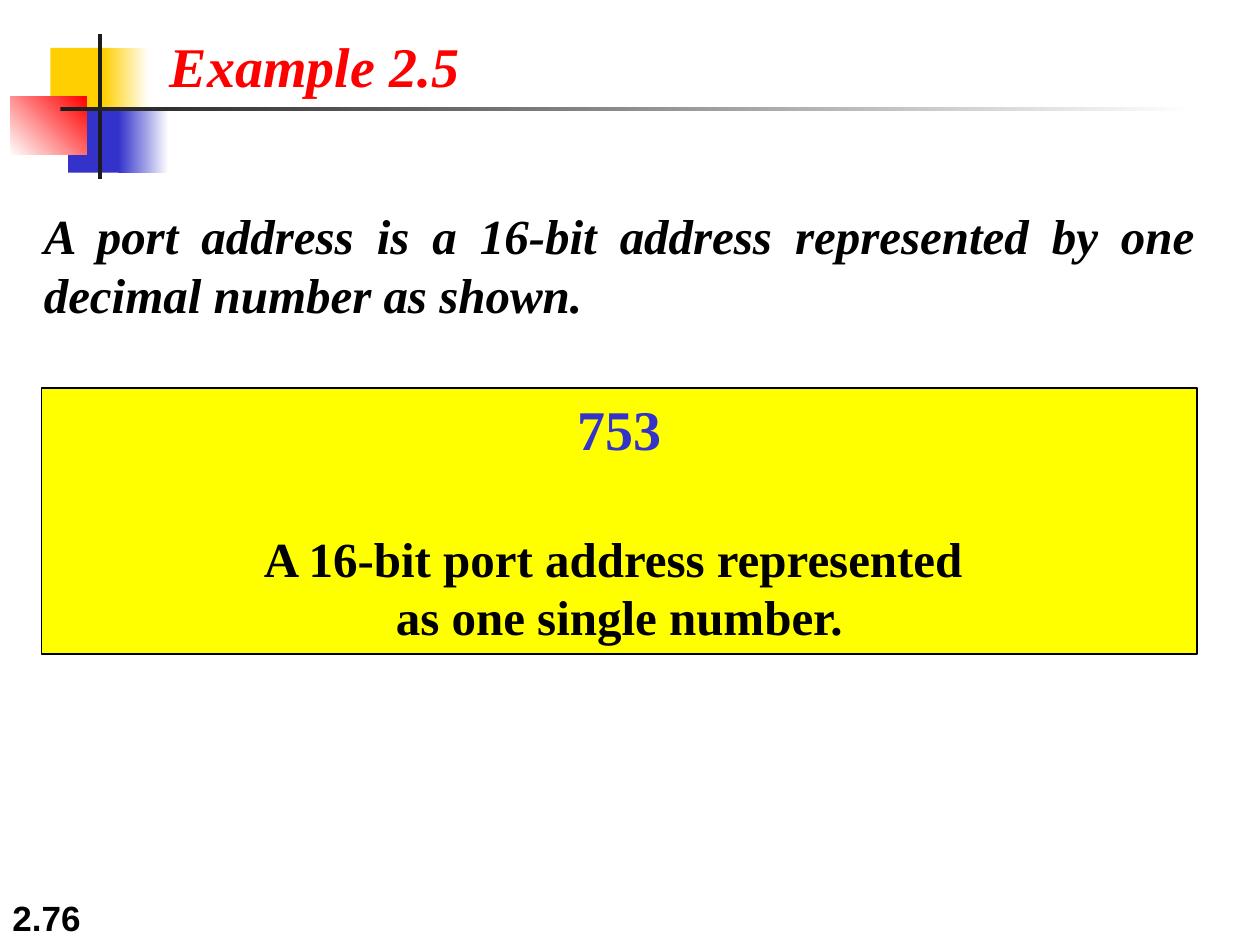
import pptx
import pptx.util
import pptx.dml.color
import pptx.enum.shapes
import pptx.enum.text

Inches = pptx.util.Inches
Pt = pptx.util.Pt
RGBColor = pptx.dml.color.RGBColor
ALIGN = pptx.enum.text.PP_ALIGN
ANCHOR = pptx.enum.text.MSO_ANCHOR

BLACK = RGBColor(0x00, 0x00, 0x00)
WHITE = RGBColor(0xFF, 0xFF, 0xFF)
GOLD = RGBColor(0xFF, 0xCF, 0x01)
BLUE = RGBColor(0x33, 0x33, 0xCC)
RED = RGBColor(0xFF, 0x00, 0x00)
CHARCOAL = RGBColor(0x1C, 0x1C, 0x1C)
YELLOW = RGBColor(0xFF, 0xFF, 0x00)
SERIF = "Times New Roman"

prs = pptx.Presentation()
prs.slide_width, prs.slide_height = Inches(10), Inches(7.5)
slide = prs.slides.add_slide(prs.slide_layouts[6])


def add_block(left, top, width, height, start, end=None, angle=0):
    """Add a borderless rectangle, solid or fading from start to end."""
    block = slide.shapes.add_shape(
        pptx.enum.shapes.MSO_SHAPE.RECTANGLE,
        Inches(left), Inches(top), Inches(width), Inches(height))
    block.shadow.inherit = False
    block.line.fill.background()
    if end is None:
        block.fill.solid()
        block.fill.fore_color.rgb = start
    else:
        block.fill.gradient()
        block.fill.gradient_angle = angle
        for stop, color, position in zip(block.fill.gradient_stops, (start, end), (0, 1)):
            stop.color.rgb = color
            stop.position = position
    return block


def add_run(paragraph, text, size, color, font=SERIF, italic=False):
    run = paragraph.add_run()
    run.text = text
    run.font.name = font
    run.font.size = Pt(size)
    run.font.bold = True
    run.font.italic = italic
    run.font.color.rgb = color


# Slide number
number = slide.shapes.add_textbox(Inches(0), Inches(7), Inches(2.08), Inches(0.5)).text_frame
number.word_wrap = True
number.vertical_anchor = ANCHOR.BOTTOM
add_run(number.paragraphs[0], "2.76", 20, BLACK, font="Arial")

# Corner ornament and heading rule
for ornament in (
    (0.4, 0.38, 0.48, 0.52, GOLD),
    (0.82, 0.38, 0.36, 0.52, GOLD, WHITE),
    (0.54, 0.85, 0.46, 0.52, BLUE),
    (0.94, 0.85, 0.4, 0.52, BLUE, WHITE),
    (0.08, 0.77, 0.61, 0.46, WHITE, RED, 45),
    (0.78, 0.27, 0.03, 1.15, CHARCOAL),
    (0.48, 0.85, 9, 0.03, CHARCOAL, WHITE),
):
    add_block(*ornament)

# Heading and statement
heading = slide.shapes.add_textbox(Inches(1.25), Inches(0.2), Inches(2.5), Inches(0.63)).text_frame
heading.word_wrap = False
add_run(heading.paragraphs[0], "Example 2.5", 32, RED, italic=True)

statement = slide.shapes.add_textbox(Inches(0.25), Inches(1.58), Inches(9.33), Inches(1.03)).text_frame
statement.word_wrap = True
statement.paragraphs[0].alignment = ALIGN.JUSTIFY
add_run(statement.paragraphs[0],
        "A port address is a 16-bit address represented by one decimal number as shown.",
        28, BLACK, italic=True)

# Port address panel
panel = add_block(0.33, 3.08, 9.17, 2.11, YELLOW)
panel.line.color.rgb = BLACK
panel.line.width = Pt(0.75)
panel_text = panel.text_frame
panel_text.word_wrap = True
panel_text.vertical_anchor = ANCHOR.TOP

port = panel_text.paragraphs[0]
port.alignment = ALIGN.CENTER
port.space_after = Pt(38)
add_run(port, "753", 32, BLUE)

caption = panel_text.add_paragraph()
caption.alignment = ALIGN.CENTER
add_run(caption, "A 16-bit port address represented ", 28, BLACK)
caption.add_line_break()
add_run(caption, "as one single number.", 28, BLACK)

prs.save("out.pptx")
